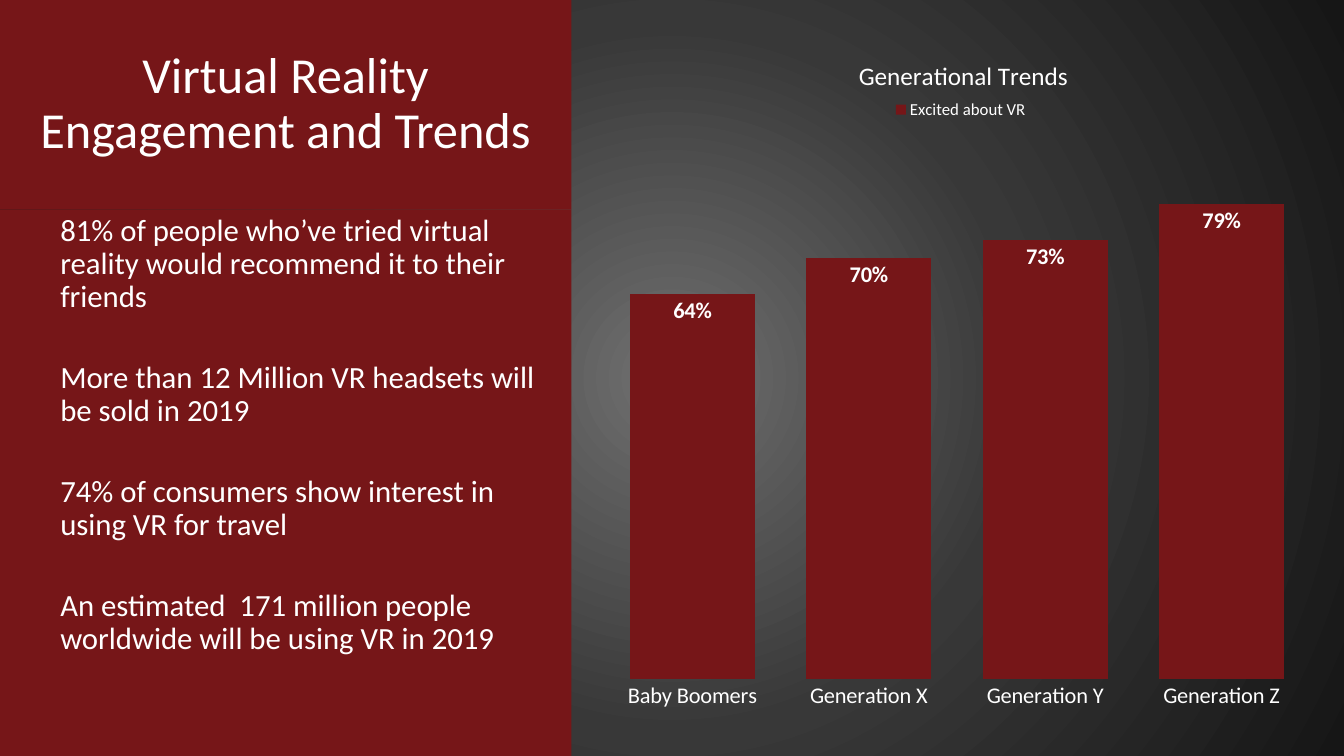
from lxml.etree import SubElement
from pptx import Presentation
from pptx.chart.data import CategoryChartData
from pptx.dml.color import RGBColor
from pptx.enum.chart import XL_CHART_TYPE, XL_LABEL_POSITION, XL_LEGEND_POSITION, XL_TICK_MARK
from pptx.enum.text import MSO_ANCHOR, PP_ALIGN
from pptx.oxml.ns import qn
from pptx.util import Cm, Pt

COLORS = {
    "panel": "761618",
    "text": "FFFFFF",
    "glow": "707070",
    "middle": "383838",
    "edge": "161616",
}
PANEL_WIDTH = Cm(14.4)
TITLE_HEIGHT = Cm(5.28)
SLIDE_HEIGHT = Cm(19.05)


def format_font(font, size, bold=False):
    values = {"name": "Calibri", "size": Pt(size), "bold": bold}
    for attribute, value in values.items():
        setattr(font, attribute, value)
    font.color.rgb = RGBColor.from_string(COLORS["text"])


def place_in_chart(parent, index, **fractions):
    """Give a chart part a fixed place, in fractions of the chart's size."""
    for old_layout in parent.findall(qn("c:layout")):
        parent.remove(old_layout)
    layout = SubElement(parent, qn("c:layout"))
    parent.insert(index, layout)
    manual = SubElement(layout, qn("c:manualLayout"))
    if parent.tag == qn("c:plotArea"):
        SubElement(manual, qn("c:layoutTarget")).set("val", "inner")
    for mode in ("xMode", "yMode"):
        SubElement(manual, qn(f"c:{mode}")).set("val", "edge")
    for name, fraction in fractions.items():
        SubElement(manual, qn(f"c:{name}")).set("val", str(fraction))


presentation = Presentation()
presentation.slide_width = Cm(33.87)
presentation.slide_height = SLIDE_HEIGHT
slide = presentation.slides.add_slide(presentation.slide_layouts[6])

# Background: a round glow that darkens towards the edges
slide.background.fill.gradient()
gradient = slide.element.find(".//" + qn("a:gradFill"))
for child in list(gradient):
    gradient.remove(child)
stops = SubElement(gradient, qn("a:gsLst"))
for percent, name in ((0, "glow"), (46, "middle"), (100, "edge")):
    stop = SubElement(stops, qn("a:gs"), pos=str(percent * 1000))
    SubElement(stop, qn("a:srgbClr"), val=COLORS[name])
shade = SubElement(gradient, qn("a:path"))
shade.set("path", "circle")
SubElement(shade, qn("a:fillToRect"), l="50000", t="50000", r="50000", b="50000")

# Left panel: title above, facts below
title_format = {"alignment": PP_ALIGN.CENTER, "line_spacing": 0.9}
fact_format = {"alignment": PP_ALIGN.LEFT, "line_spacing": 0.9}
facts = [
    "81% of people who’ve tried virtual reality would recommend it to their friends",
    "More than 12 Million VR headsets will be sold in 2019",
    "74% of consumers show interest in using VR for travel",
    "An estimated  171 million people worldwide will be using VR in 2019",
]
panels = [
    (0, TITLE_HEIGHT, MSO_ANCHOR.MIDDLE, Cm(0.25), 36, title_format,
     ["Virtual Reality\vEngagement and Trends"]),
    (TITLE_HEIGHT, SLIDE_HEIGHT - TITLE_HEIGHT, MSO_ANCHOR.TOP, Cm(1.52), 22, fact_format, facts),
]
for top, height, anchor, left_margin, size, paragraph_format, texts in panels:
    panel = slide.shapes.add_textbox(0, top, PANEL_WIDTH, height)
    panel.fill.solid()
    panel.fill.fore_color.rgb = RGBColor.from_string(COLORS["panel"])
    frame = panel.text_frame
    frame.word_wrap = True
    frame.vertical_anchor = anchor
    frame.margin_left = left_margin
    for number, text in enumerate(texts):
        paragraph = frame.add_paragraph() if number else frame.paragraphs[0]
        paragraph.text = text
        for attribute, value in paragraph_format.items():
            setattr(paragraph, attribute, value)
        if number:
            paragraph.space_before = Pt(34)
        format_font(paragraph.font, size)
        for run in paragraph.runs:
            format_font(run.font, size)

# Chart
chart_data = CategoryChartData(number_format="0%")
chart_data.categories = ["Baby Boomers", "Generation X", "Generation Y", "Generation Z"]
chart_data.add_series("Excited about VR", [0.64, 0.7, 0.73, 0.79])
chart = slide.shapes.add_chart(
    XL_CHART_TYPE.COLUMN_CLUSTERED, Cm(14.86), Cm(0.64), Cm(18.52), Cm(17.7), chart_data
).chart
format_font(chart.font, 10)

chart.has_title = True
title_paragraph = chart.chart_title.text_frame.paragraphs[0]
title_paragraph.text = "Generational Trends"
format_font(title_paragraph.runs[0].font, 18)

chart.has_legend = True
chart.legend.position = XL_LEGEND_POSITION.TOP
chart.legend.include_in_layout = False
format_font(chart.legend.font, 12)

category_axis = chart.category_axis
category_axis.major_tick_mark = XL_TICK_MARK.NONE
category_axis.format.line.fill.background()
format_font(category_axis.tick_labels.font, 16)

axis_format = {"visible": False, "has_major_gridlines": False,
               "minimum_scale": 0, "maximum_scale": 0.9}
for attribute, value in axis_format.items():
    setattr(chart.value_axis, attribute, value)

plot = chart.plots[0]
plot.gap_width = 41
plot.vary_by_categories = False
bars = plot.series[0].format.fill
bars.solid()
bars.fore_color.rgb = RGBColor.from_string(COLORS["panel"])

plot.has_data_labels = True
label_format = {"show_value": True, "position": XL_LABEL_POSITION.INSIDE_END,
                "number_format": "0%", "number_format_is_linked": False}
for attribute, value in label_format.items():
    setattr(plot.data_labels, attribute, value)
format_font(plot.data_labels.font, 16, bold=True)

chart_element = chart.element.find(qn("c:chart"))
place_in_chart(chart_element.find(qn("c:title")), 1, x=0.36, y=0.04)
place_in_chart(chart_element.find(qn("c:legend")), 1, x=0.41, y=0.1, w=0.19, h=0.04)
place_in_chart(chart_element.find(qn("c:plotArea")), 0, x=0.02, y=0.16, w=0.96, h=0.77)

presentation.save("out.pptx")
